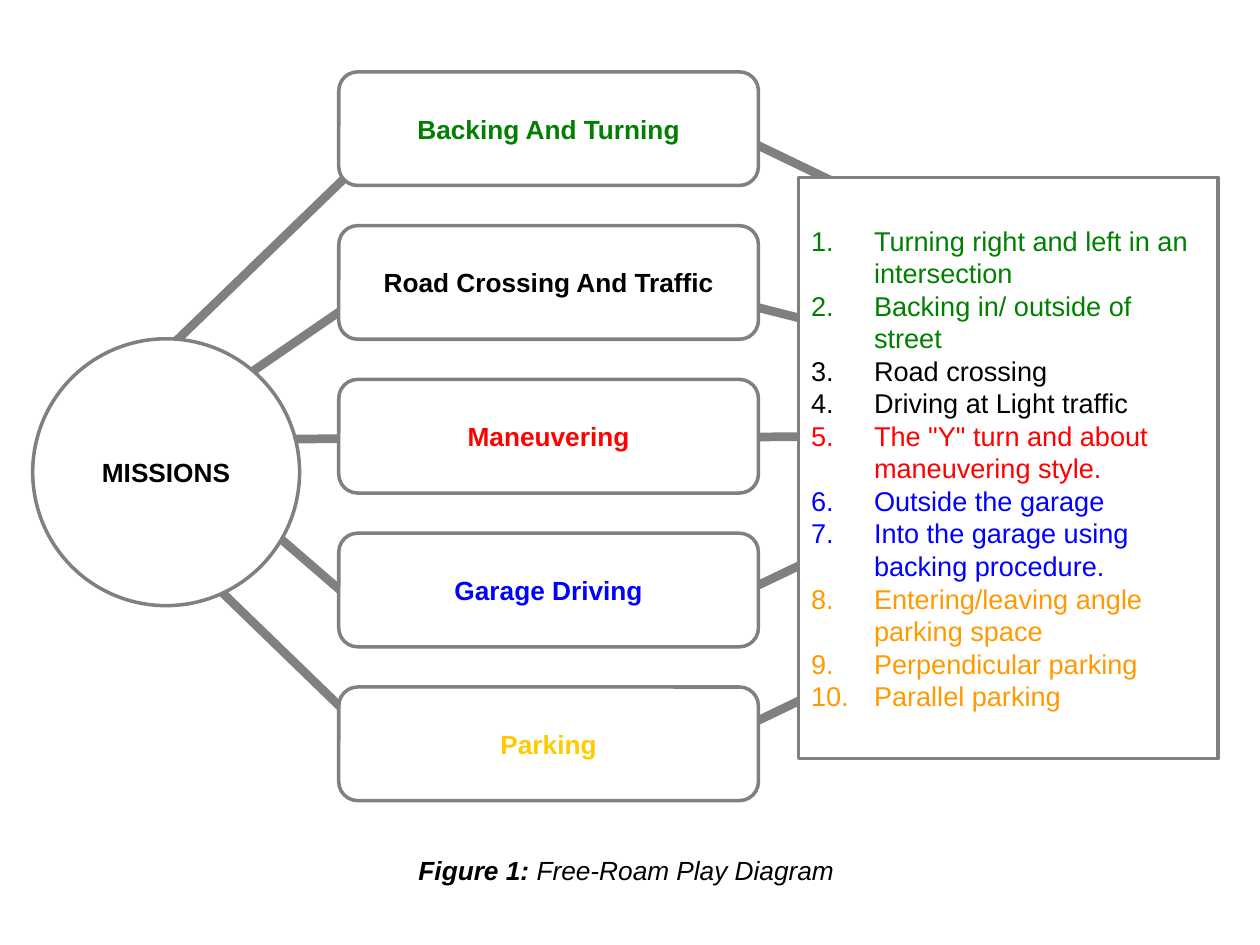
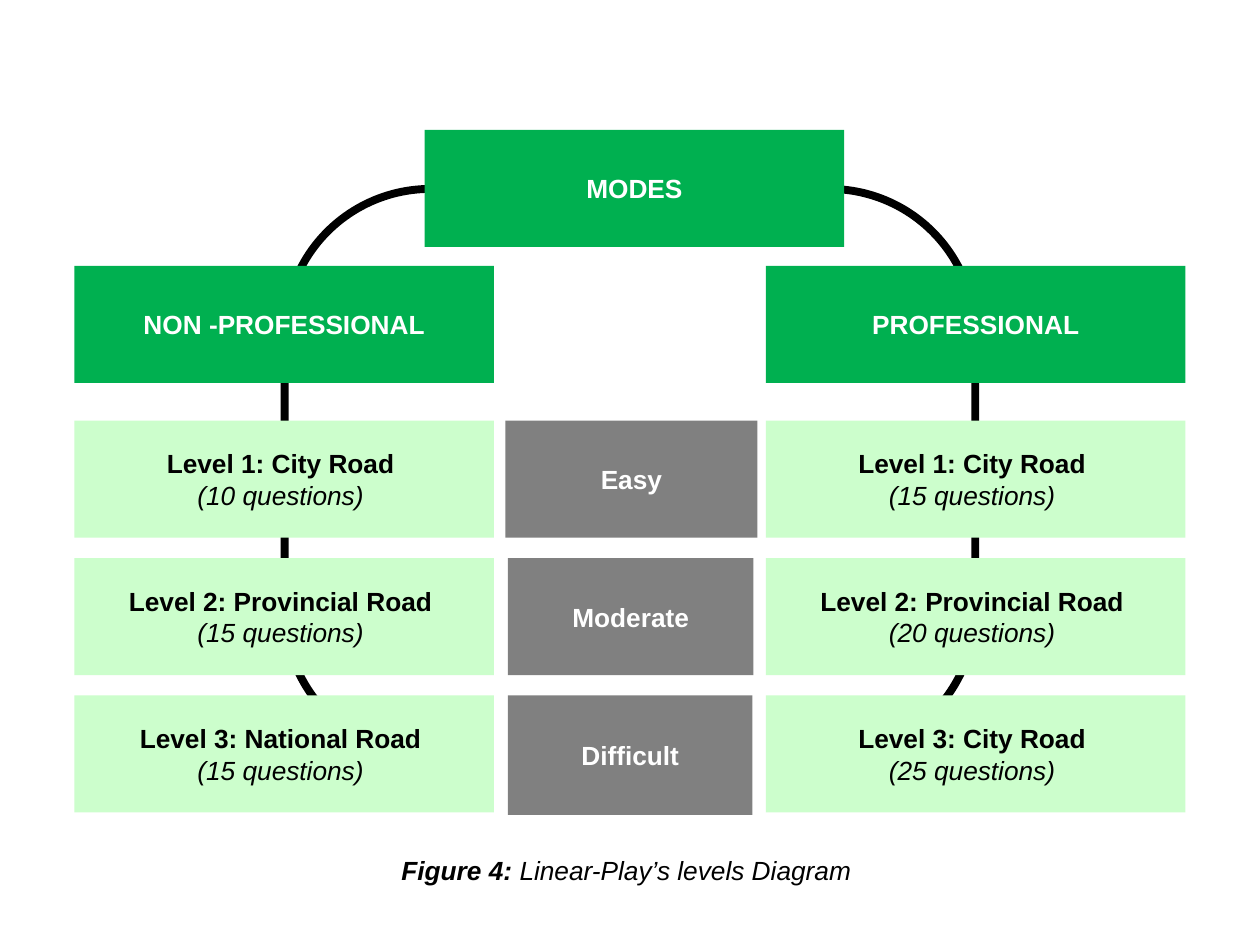
from dataclasses import dataclass

from lxml.etree import SubElement
from pptx import Presentation
from pptx.dml.color import RGBColor
from pptx.enum.shapes import MSO_CONNECTOR, MSO_SHAPE as SHAPE
from pptx.enum.text import MSO_ANCHOR, MSO_AUTO_SIZE, PP_ALIGN
from pptx.oxml.ns import qn
from pptx.util import Cm, Pt


@dataclass(frozen=True)
class Theme:
    font: str = "Arial"
    body: float = 15
    list_size: float = 15.5
    outline: float = 2
    link: float = 5
    bracket: float = 4.5
    black: str = "000000"
    white: str = "FFFFFF"
    grey: str = "808080"
    green: str = "008000"
    red: str = "FF0000"
    blue: str = "0000FF"
    orange: str = "FF9900"
    yellow: str = "FFCB00"
    mode: str = "00B050"
    level: str = "CCFECC"


T = Theme()
SLIDE_W, SLIDE_H = 25.4, 19.05
BOX_W = 8.46

# Missions: heading, heading colour, task colour, tasks
MISSIONS = [
    ("Backing And Turning", T.green, T.green,
     ["Turning right and left in an intersection",
      "Backing in/ outside of street"]),
    ("Road Crossing And Traffic", T.black, T.black,
     ["Road crossing", "Driving at Light traffic"]),
    ("Maneuvering", T.red, T.red,
     ['The "Y" turn and about maneuvering style.']),
    ("Garage Driving", T.blue, T.blue,
     ["Outside the garage", "Into the garage using backing procedure."]),
    ("Parking", T.yellow, T.orange,
     ["Entering/leaving angle parking space", "Perpendicular parking",
      "Parallel parking"]),
]
MISSION_LEFT, MISSION_TOP, MISSION_H, MISSION_PITCH = 6.83, 1.45, 2.29, 3.1

# Ends of the links, in cm: x1, y1, x2, y2
TASK_LINKS = [
    (14.48, 14.91, 19.35, 12.57),
    (13.67, 12.57, 18.54, 10.24),
    (12.37, 5.46, 18.47, 7.01),
    (10.11, 8.86, 20.35, 8.76),
    (13.72, 2.18, 18.75, 4.6),
]
MISSION_LINKS = [
    (3.91, 9.35, 7.37, 12.34),
    (3.86, 8.33, 8, 5.49),
    (3.15, 7.26, 7.9, 2.67),
    (2.74, 10.26, 7.49, 14.86),
    (5.08, 8.86, 15.29, 8.76),
]

# Modes: left edge, heading, levels with their number of questions
MODES = [
    (1.5, "NON -PROFESSIONAL",
     [("City Road", 10), ("Provincial Road", 15), ("National Road", 15)]),
    (15.44, "PROFESSIONAL",
     [("City Road", 15), ("Provincial Road", 20), ("City Road", 25)]),
]
# Difficulty: name, left, width, height
DIFFICULTIES = [
    ("Easy", 10.19, 5.08, 2.36),
    ("Moderate", 10.24, 4.95, 2.36),
    ("Difficult", 10.24, 4.93, 2.41),
]
MODE_H, MODE_TOP, MODE_HEAD_TOP = 2.36, 2.62, 5.36
LEVEL_TOP, LEVEL_PITCH = 8.48, 2.77


def rgb(value):
    return RGBColor.from_string(value)


def format_run(r, color, size=T.body, bold=False, italic=False):
    f = r.font
    f.name, f.size, f.bold, f.italic = T.font, Pt(size), bold, italic
    f.color.rgb = rgb(color)


def add_panel(slide, kind, box, fill=None, line=None, width=T.outline):
    """Add a shape at box (left, top, width, height in cm); None means no fill or line."""
    sp = slide.shapes.add_shape(kind, *map(Cm, box))
    sp.shadow.inherit = False
    if fill:
        sp.fill.solid()
        sp.fill.fore_color.rgb = rgb(fill)
    else:
        sp.fill.background()
    if line:
        sp.line.color.rgb = rgb(line)
        sp.line.width = Pt(width)
    else:
        sp.line.fill.background()
    sp.text_frame.word_wrap = True
    sp.text_frame.vertical_anchor = MSO_ANCHOR.MIDDLE
    return sp


def add_label(slide, kind, box, text, color, fill=T.white, line=None):
    """Add a shape with a bold first line; any further lines are italic."""
    tf = add_panel(slide, kind, box, fill, line).text_frame
    tf.text = text
    for i, p in enumerate(tf.paragraphs):
        p.alignment = PP_ALIGN.CENTER
        format_run(p.runs[0], color, bold=i == 0, italic=i > 0)


def add_link(slide, ends):
    link = slide.shapes.add_connector(MSO_CONNECTOR.STRAIGHT, *map(Cm, ends))
    link.line.color.rgb = rgb(T.grey)
    link.line.width = Pt(T.link)
    SubElement(link._element.spPr, qn("a:effectLst"))


def add_caption(slide, number, text):
    box = slide.shapes.add_textbox(0, Cm(17.09), Cm(SLIDE_W), Cm(0.89))
    tf = box.text_frame
    tf.word_wrap = True
    tf.auto_size = MSO_AUTO_SIZE.SHAPE_TO_FIT_TEXT
    p = tf.paragraphs[0]
    p.alignment = PP_ALIGN.CENTER
    for part, bold in ((f"Figure {number}:", True), (f" {text} ", False)):
        r = p.add_run()
        r.text = part
        format_run(r, T.black, bold=bold, italic=True)


def number_paragraph(p):
    pPr = p._p.get_or_add_pPr()
    pPr.set("marL", str(Cm(1.27)))
    pPr.set("indent", str(-Cm(1.27)))
    SubElement(pPr, qn("a:buFont"), typeface="+mj-lt")
    SubElement(pPr, qn("a:buAutoNum"), type="arabicPeriod")


def add_task_list(slide):
    tasks = [(task, color) for _, _, color, names in MISSIONS for task in names]
    sp = add_panel(slide, SHAPE.RECTANGLE, (16.1, 3.58, BOX_W, 11.71),
                   T.white, T.grey)
    tf = sp.text_frame
    tf.text = "\n".join(task for task, _ in tasks)
    for p, (_, color) in zip(tf.paragraphs, tasks):
        p.alignment = PP_ALIGN.LEFT
        number_paragraph(p)
        format_run(p.runs[0], color, T.list_size)


def build_missions(slide):
    for ends in TASK_LINKS + MISSION_LINKS:
        add_link(slide, ends)
    add_caption(slide, 1, "Free-Roam Play Diagram")
    add_task_list(slide)
    add_label(slide, SHAPE.OVAL, (0.66, 6.83, 5.38, 5.38), "MISSIONS",
              T.black, line=T.grey)
    for i, (name, color, _, _) in enumerate(MISSIONS):
        box = (MISSION_LEFT, MISSION_TOP + i * MISSION_PITCH, BOX_W, MISSION_H)
        add_label(slide, SHAPE.ROUNDED_RECTANGLE, box, name, color, line=T.grey)


def build_levels(slide):
    bracket = add_panel(slide, SHAPE.DOUBLE_BRACKET, (5.74, 3.81, 13.92, 11.43),
                        line=T.black, width=T.bracket)
    bracket.adjustments[0] = 0.257
    add_caption(slide, 4, "Linear-Play’s levels Diagram")
    add_label(slide, SHAPE.RECTANGLE, (8.56, MODE_TOP, BOX_W, MODE_H), "MODES",
              T.white, T.mode)
    tops = [LEVEL_TOP + i * LEVEL_PITCH for i in range(len(DIFFICULTIES))]
    for left, mode, levels in MODES:
        add_label(slide, SHAPE.RECTANGLE, (left, MODE_HEAD_TOP, BOX_W, MODE_H),
                  mode, T.white, T.mode)
        for n, (top, (road, count)) in enumerate(zip(tops, levels), 1):
            add_label(slide, SHAPE.RECTANGLE, (left, top, BOX_W, MODE_H),
                      f"Level {n}: {road} \n({count} questions) ",
                      T.black, T.level)
    for top, (name, left, width, height) in zip(tops, DIFFICULTIES):
        add_label(slide, SHAPE.RECTANGLE, (left, top, width, height), name,
                  T.white, T.grey)


def main():
    prs = Presentation()
    prs.slide_width, prs.slide_height = Cm(SLIDE_W), Cm(SLIDE_H)
    blank = prs.slide_layouts.get_by_name("Blank")
    for build in (build_missions, build_levels):
        build(prs.slides.add_slide(blank))
    prs.save("out.pptx")


if __name__ == "__main__":
    main()
